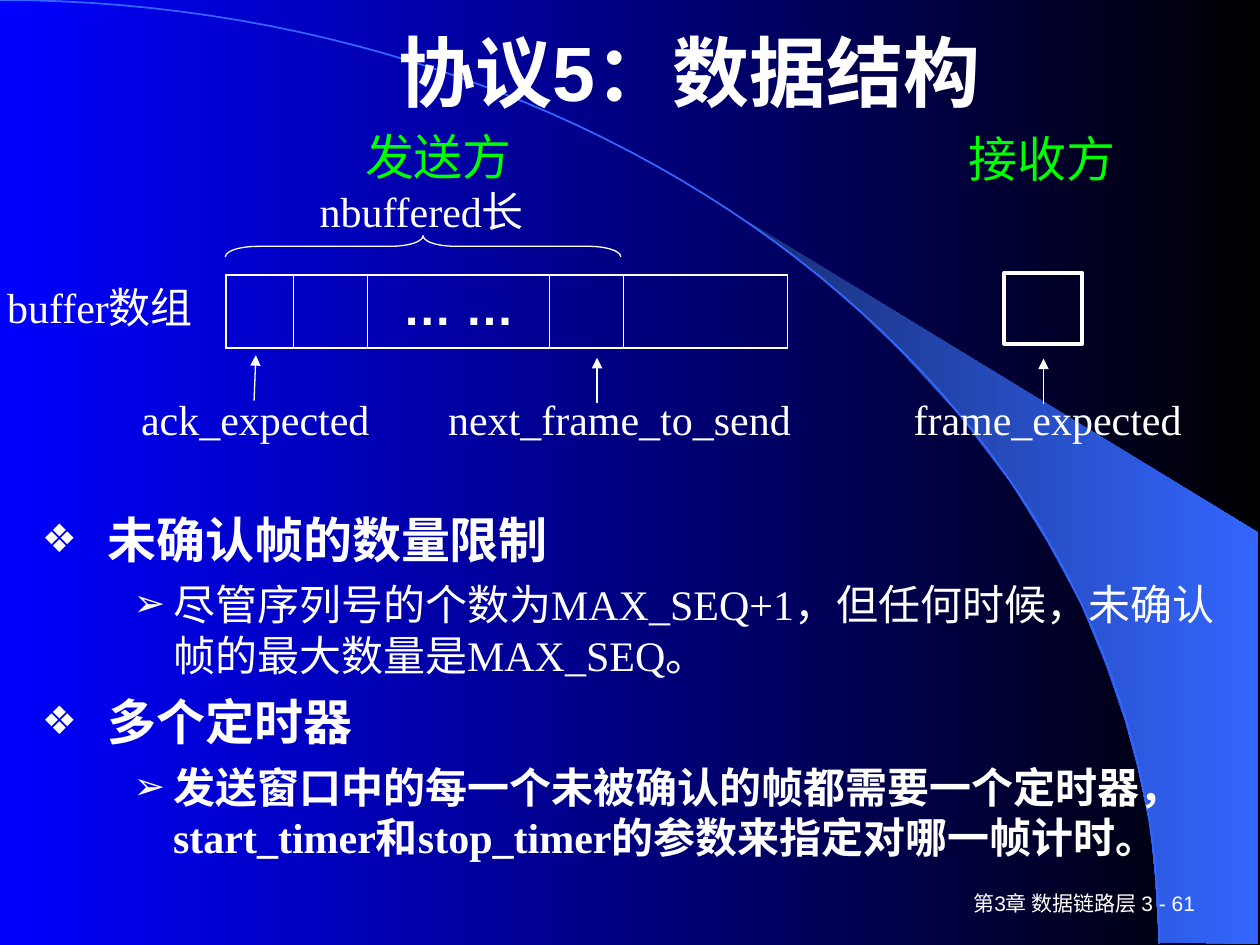
from math import cos, pi, sin
from typing import NamedTuple

from lxml import etree
from pptx import Presentation
from pptx.dml.color import RGBColor
from pptx.enum.shapes import MSO_CONNECTOR, MSO_SHAPE
from pptx.enum.text import MSO_ANCHOR, MSO_AUTO_SIZE, PP_ALIGN
from pptx.oxml.ns import qn
from pptx.util import Pt

LINE = MSO_CONNECTOR.STRAIGHT
RECT, BRACE = MSO_SHAPE.RECTANGLE, MSO_SHAPE.LEFT_BRACE
TOP, MID = MSO_ANCHOR.TOP, MSO_ANCHOR.MIDDLE
GROW, FIXED = MSO_AUTO_SIZE.SHAPE_TO_FIT_TEXT, MSO_AUTO_SIZE.NONE
LEFT, CENTER, RIGHT = PP_ALIGN.LEFT, PP_ALIGN.CENTER, PP_ALIGN.RIGHT
SANS, SERIF = "Arial", "Times New Roman"
WHITE, GREEN, BLUE = "FFFFFF", "00FF00", "3366FF"


class Label(NamedTuple):
    text: str
    x: float
    y: float
    w: float
    h: float
    size: float = 24
    color: str = WHITE
    font: str = SERIF
    bold: bool = False
    align: PP_ALIGN = LEFT
    anchor: MSO_ANCHOR = TOP
    wrap: bool = False


class Arrow(NamedTuple):
    x1: float
    y1: float
    x2: float
    y2: float


class Point(NamedTuple):
    text: str
    level: int
    font: str
    bold: bool


class Level(NamedTuple):
    mark: str
    scale: int
    size: float
    left: float
    hang: float
    gap: float


LABELS = [
    Label("第3章 数据链路层 3 - 61", 540, 504, 150, 24, 12, font=SANS,
          align=RIGHT, anchor=MID, wrap=True),
    Label("协议5：数据结构", 88, 8.5, 612, 64, 44, font=SANS, bold=True,
          align=CENTER, anchor=MID, wrap=True),
    Label("buffer数组", -3, 157.5, 127, 36),
    Label("ack_expected", 73.5, 221.3, 145, 36),
    Label("next_frame_to_send", 249, 221.3, 211, 36),
    Label("nbuffered长", 175.5, 102.4, 137.5, 36),
    Label("发送方", 201.5, 68.5, 98.5, 41, 28, GREEN),
    Label("接收方", 546.5, 70, 98.5, 41, 28, GREEN),
    Label("frame_expected", 515, 221.3, 168, 36),
]
ARROWS = [
    Arrow(145.2, 229, 146.2, 203),
    Arrow(341.2, 230.4, 341.2, 204.5),
    Arrow(596.3, 231, 596.3, 205),
]
LEVELS = [Level("❖", 80, 28, 37.5, 37.5, 7), Level("➢", 90, 24, 75, 22.5, 6)]
POINTS = [
    Point("未确认帧的数量限制", 0, SANS, True),
    Point("尽管序列号的个数为MAX_SEQ+1，但任何时候，未确认帧的最大数量是MAX_SEQ。",
          1, SERIF, False),
    Point("多个定时器", 0, SANS, True),
    Point("发送窗口中的每一个未被确认的帧都需要一个定时器，"
          "start_timer和stop_timer的参数来指定对哪一帧计时。", 1, SERIF, True),
]
BEAM = [(662.4, 538.5), (719.3, 539.3), (719.3, 304.6), (424.1, 124.6),
        (449.3, 143.3), (470.2, 159.8), (493.2, 180), (515.5, 201.6),
        (548.6, 237.6), (578.2, 276.5), (599, 310.3), (617.8, 344.9),
        (632.2, 380.2), (643, 411.8), (650.2, 438.5), (657.4, 472.3),
        (660.2, 501.1)]
CELLS = [38.5, 42.5, 104, 42.5, 93.5]


def rgb(code: str) -> RGBColor:
    return RGBColor.from_string(code)


def shade(fill, first: str, last: str) -> None:
    fill.gradient()
    fill.gradient_angle = 0
    for stop, code, place in zip(fill.gradient_stops, (first, last), (0, 1)):
        stop.color.rgb = rgb(code)
        stop.position = place


def stroke(shape, code: str, width: float) -> None:
    shape.line.color.rgb = rgb(code)
    shape.line.width = Pt(width)


def style(para, size: float, code: str, font: str, bold: bool) -> None:
    for run in para.runs:
        run.font.size, run.font.name, run.font.bold = Pt(size), font, bold
        run.font.color.rgb = rgb(code)


def outline(slide, spots: list, close: bool):
    pts = [(Pt(x), Pt(y)) for x, y in spots]
    pen = slide.shapes.build_freeform(*pts[0])
    pen.add_line_segments(pts[1:], close=close)
    shape = pen.convert_to_shape()
    shape.shadow.inherit = False
    return shape


def hollow(slide, kind, x: float, y: float, w: float, h: float, width: float):
    shape = slide.shapes.add_shape(kind, Pt(x), Pt(y), Pt(w), Pt(h))
    shape.shadow.inherit = False
    shape.fill.background()
    stroke(shape, WHITE, width)
    return shape


def write(slide, lab: Label) -> None:
    box = slide.shapes.add_textbox(Pt(lab.x), Pt(lab.y), Pt(lab.w), Pt(lab.h))
    frame = box.text_frame
    frame.text, frame.word_wrap = lab.text, lab.wrap
    frame.auto_size = FIXED if lab.wrap else GROW
    frame.vertical_anchor = lab.anchor
    para = frame.paragraphs[0]
    para.alignment = lab.align
    style(para, lab.size, lab.color, lab.font, lab.bold)


def point_to(slide, arrow: Arrow) -> None:
    link = slide.shapes.add_connector(LINE, *(Pt(v) for v in arrow))
    stroke(link, WHITE, 0.75)
    etree.SubElement(link.line._get_or_add_ln(), qn("a:tailEnd"), type="triangle")
    etree.SubElement(link._element.spPr, qn("a:effectLst"))


def edge(cell, side: str, width: float) -> None:
    line = etree.SubElement(cell._tc.get_or_add_tcPr(), qn("a:" + side),
                            w=str(Pt(width)))
    fill = etree.SubElement(line, qn("a:solidFill"))
    etree.SubElement(fill, qn("a:srgbClr"), val=WHITE)


def buffer(slide) -> None:
    last = len(CELLS) - 1
    table = slide.shapes.add_table(1, len(CELLS), Pt(129), Pt(157),
                                   Pt(sum(CELLS)), Pt(42)).table
    table.first_row = table.horz_banding = False
    for i, wide in enumerate(CELLS):
        table.columns[i].width = Pt(wide)
        cell = table.cell(0, i)
        edge(cell, "lnL", 1.08 if i == 0 else 0.45)
        edge(cell, "lnR", 1.08 if i == last else 0.45)
        edge(cell, "lnT", 1.08)
        edge(cell, "lnB", 1.08)
        cell.fill.background()
    dots = table.cell(0, 2).text_frame
    dots.text = "… …"
    dots.paragraphs[0].alignment = CENTER
    style(dots.paragraphs[0], 28, WHITE, SANS, True)


def bullets(slide) -> None:
    frame = slide.shapes.add_textbox(Pt(16.8), Pt(287.5), Pt(686), Pt(229)).text_frame
    frame.word_wrap = True
    for i, item in enumerate(POINTS):
        para = frame.add_paragraph() if i else frame.paragraphs[0]
        look = LEVELS[item.level]
        para.text, para.level = item.text, item.level
        if i:
            para.space_before = Pt(look.gap)
        props = para._p.get_or_add_pPr()
        props.set("marL", str(Pt(look.left)))
        props.set("indent", str(-Pt(look.hang)))
        tint = etree.SubElement(props, qn("a:buClr"))
        etree.SubElement(tint, qn("a:srgbClr"), val=WHITE)
        etree.SubElement(props, qn("a:buSzPct"), val=str(look.scale * 1000))
        etree.SubElement(props, qn("a:buFont"), typeface=SANS)
        etree.SubElement(props, qn("a:buChar"), char=look.mark)
        style(para, look.size, WHITE, item.font, item.bold)


def main() -> None:
    deck = Presentation()
    deck.slide_width, deck.slide_height = Pt(720), Pt(540)
    slide = deck.slides.add_slide(deck.slide_layouts[6])

    # Backdrop: gradient, beam and quarter ellipse
    shade(slide.background.fill, "0000FF", "000000")
    beam = outline(slide, BEAM, True)
    shade(beam.fill, "182F76", BLUE)
    beam.line.fill.background()
    turns = [i * pi / 120 for i in range(61)]
    arc = outline(slide, [(662.4 * sin(t), 539.3 * (1 - cos(t))) for t in turns], False)
    arc.fill.background()
    stroke(arc, BLUE, 1)

    # Sender buffer with its brace, and receiver slot
    buffer(slide)
    brace = hollow(slide, BRACE, 235.75, 27.75, 12, 226, 0.75)
    brace.rotation = 90
    brace.adjustments[0] = 1.55
    hollow(slide, RECT, 574, 156, 44.5, 40.5, 2.25)

    # Labels, arrows and bullet list
    for lab in LABELS:
        write(slide, lab)
    for arrow in ARROWS:
        point_to(slide, arrow)
    bullets(slide)
    deck.save("out.pptx")


if __name__ == "__main__":
    main()
